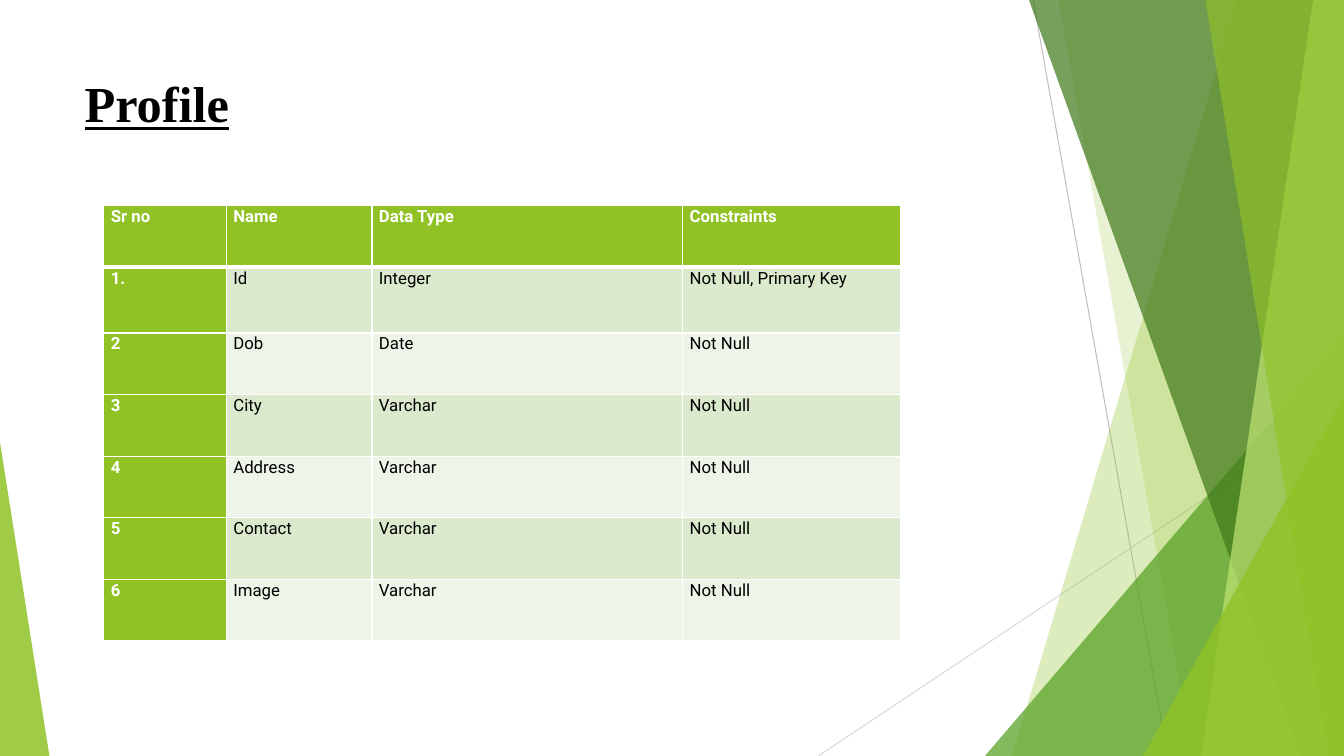
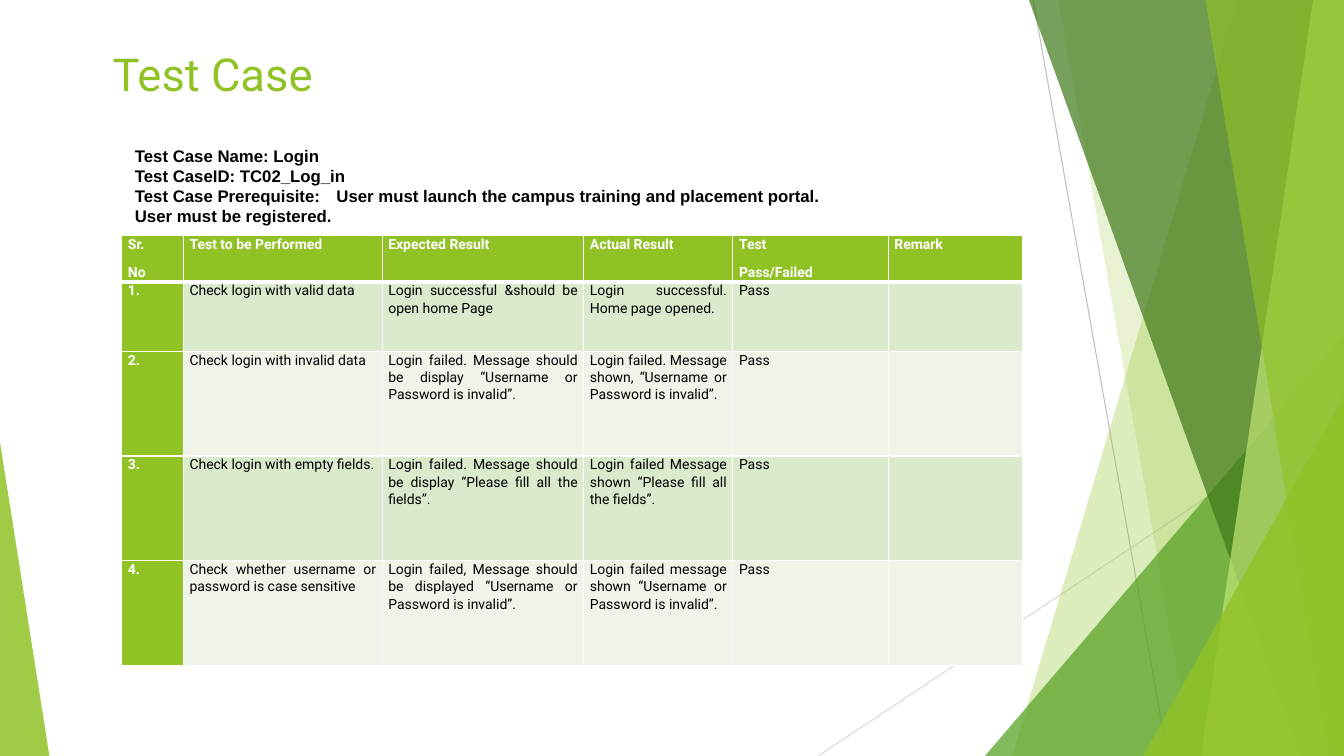
"""Build two slides on a green faceted theme: a data table and a test case."""
from lxml import etree
from pptx import Presentation
from pptx.dml.color import RGBColor
from pptx.enum.shapes import MSO_CONNECTOR, MSO_SHAPE
from pptx.enum.text import MSO_ANCHOR, PP_ALIGN
from pptx.oxml.ns import qn
from pptx.util import Pt

TRIANGLE = MSO_SHAPE.ISOSCELES_TRIANGLE
STRAIGHT = MSO_CONNECTOR.STRAIGHT
TOP, MIDDLE = MSO_ANCHOR.TOP, MSO_ANCHOR.MIDDLE
LEFT, JUSTIFY = PP_ALIGN.LEFT, PP_ALIGN.JUSTIFY

WIDTH, HEIGHT = 960, 540
COLORS = {
    "lime": "90C226", "leaf": "54A021", "forest": "3F7819", "pale": "C0E474",
    "band_dark": "DBE9CD", "band_light": "EEF4E8", "white": "FFFFFF",
    "black": "000000", "rule_dark": "BFBFBF", "rule_light": "D9D9D9",
}


class Deck:
    """Hold the shared style and the slide being filled."""

    body_font = "Roboto"

    def __init__(self):
        """Open an empty widescreen presentation."""
        self.presentation = Presentation()
        self.presentation.slide_width = Pt(WIDTH)
        self.presentation.slide_height = Pt(HEIGHT)
        self.slide = None

    def new_slide(self):
        """Start a slide and draw the facets that every slide carries."""
        self.slide = self.presentation.slides.add_slide(
            self.presentation.slide_layouts[6])
        self.rule((738, 0), (834, HEIGHT), "rule_dark")
        self.rule((WIDTH, 290), (584.5, HEIGHT), "rule_light")
        self.facet(884, 723, "lime", 30)
        self.facet(756, 852, "lime", 20)
        self.corner(703.5, 240, WIDTH, 1, "leaf", 72)
        self.facet(735, 929.5, "forest", 70)
        self.facet(938, 858, "pale", 70)
        self.facet(861, 949, "lime", 65)
        self.corner(816.5, 283, WIDTH, 1, "lime", 80)
        self.corner(0, 316, 35.3, 0, "lime", 85)

    def rule(self, start, end, color):
        """Draw a thin line."""
        line = self.slide.shapes.add_connector(
            STRAIGHT, *(Pt(value) for value in (*start, *end)))
        line.line.color.rgb = RGBColor.from_string(COLORS[color])
        line.line.width = Pt(0.75)
        etree.SubElement(line._element.spPr, qn("a:effectLst"))

    def tint(self, shape, color, opacity):
        """Give a shape a translucent fill without line or shadow."""
        shape.shadow.inherit = False
        shape.line.fill.background()
        shape.fill.solid()
        shape.fill.fore_color.rgb = RGBColor.from_string(COLORS[color])
        rgb = shape._element.spPr.find(".//" + qn("a:srgbClr"))
        etree.SubElement(rgb, qn("a:alpha"), val=str(opacity * 1000))

    def facet(self, top_x, bottom_x, color, opacity):
        """Draw a full-height facet with a slanted left side."""
        outline = self.slide.shapes.build_freeform(Pt(top_x), Pt(0))
        outline.add_line_segments(
            [(Pt(WIDTH), Pt(0)), (Pt(WIDTH), Pt(HEIGHT)), (Pt(bottom_x), Pt(HEIGHT))])
        self.tint(outline.convert_to_shape(), color, opacity)

    def corner(self, left, top, right, apex, color, opacity):
        """Draw a right triangle standing on the bottom edge."""
        triangle = self.slide.shapes.add_shape(
            TRIANGLE, Pt(left), Pt(top), Pt(right - left), Pt(HEIGHT - top))
        triangle.adjustments[0] = apex
        self.tint(triangle, color, opacity)

    def style(self, paragraph, font, size, color, bold=False, underline=False):
        """Set the font of a paragraph."""
        paragraph.font.name = font
        paragraph.font.size = Pt(size)
        paragraph.font.bold = bold
        paragraph.font.underline = underline
        paragraph.font.color.rgb = RGBColor.from_string(COLORS[color])

    def text_frame(self, text, box, anchor):
        """Add a wrapping text box and return its frame."""
        frame = self.slide.shapes.add_textbox(*(Pt(value) for value in box)).text_frame
        frame.word_wrap = True
        frame.vertical_anchor = anchor
        frame.text = text
        return frame

    def title(self, text, box, size, font=body_font, color="lime", **emphasis):
        """Add the slide title."""
        frame = self.text_frame(text, box, TOP)
        self.style(frame.paragraphs[0], font, size, color, **emphasis)

    def details(self, lines, box, first_indent, tab):
        """Add bold justified lines with a first-line indent and one tab stop."""
        frame = self.text_frame("\n".join(lines), box, MIDDLE)
        for paragraph in frame.paragraphs:
            paragraph.alignment = JUSTIFY
            properties = paragraph._p.get_or_add_pPr()
            properties.set("marL", "0")
            properties.set("indent", str(Pt(first_indent)))
            stops = etree.SubElement(properties, qn("a:tabLst"))
            etree.SubElement(stops, qn("a:tab"), pos=str(Pt(tab)), algn="l")
            self.style(paragraph, "Arial", 12, "black", bold=True)

    def borders(self, cell, top, bottom):
        """Draw white cell borders, with the given top and bottom widths."""
        properties = cell._tc.get_or_add_tcPr()
        sides = {"lnL": 1, "lnR": 1, "lnT": top, "lnB": bottom}
        for position, (side, width) in enumerate(sides.items()):
            border = etree.Element(qn("a:" + side), w=str(Pt(width)))
            fill = etree.SubElement(border, qn("a:solidFill"))
            etree.SubElement(fill, qn("a:srgbClr"), val=COLORS["white"])
            properties.insert(position, border)

    def table(self, rows, origin, widths, heights, size, inset, alignment):
        """Add a banded table with a green header row and first column."""
        grid = self.slide.shapes.add_table(
            len(rows), len(widths), *(Pt(value) for value in origin),
            Pt(sum(widths)), Pt(sum(heights))).table
        grid.horz_banding = False
        for column, width in zip(grid.columns, widths):
            column.width = Pt(width)
        for row, height in zip(grid.rows, heights):
            row.height = Pt(height)
        for r, values in enumerate(rows):
            for c, value in enumerate(values):
                cell = grid.cell(r, c)
                heading = r == 0 or c == 0
                band = "band_dark" if r % 2 else "band_light"
                cell.fill.solid()
                cell.fill.fore_color.rgb = RGBColor.from_string(
                    COLORS["lime" if heading else band])
                self.borders(cell, 3 if r == 1 else 1, 3 if r == 0 else 1)
                cell.margin_left = cell.margin_right = Pt(inset)
                cell.margin_top = cell.margin_bottom = Pt(0)
                cell.text_frame.text = value
                for paragraph in cell.text_frame.paragraphs:
                    paragraph.alignment = alignment
                    paragraph.line_spacing = 1.06
                    paragraph.space_after = Pt(8)
                    self.style(paragraph, self.body_font, size,
                               "white" if heading else "black", bold=heading)


def profile_slide(deck):
    """Build the slide listing the profile fields."""
    deck.new_slide()
    deck.title("Profile", (53.3, 48.2, 677, 104), 36, "Times New Roman", "black",
               bold=True, underline=True)
    fields = [
        ("Sr no", "Name", "Data Type", "Constraints"),
        ("1.", "Id", "Integer", "Not Null, Primary Key"),
        ("2", "Dob", "Date", "Not Null"),
        ("3", "City", "Varchar", "Not Null"),
        ("4", "Address", "Varchar", "Not Null"),
        ("5", "Contact", "Varchar", "Not Null"),
        ("6", "Image", "Varchar", "Not Null"),
    ]
    deck.table(fields, (74.2, 146.9), (87.5, 104, 222, 155.5),
               (44, 47) + (44,) * 5, 12, 5, LEFT)


def test_case_slide(deck):
    """Build the slide with the login test case."""
    deck.new_slide()
    deck.title("Test Case", (73.4, 29.5, 656.5, 47.5), 32.4)
    cases = [
        ("Sr.\nNo", "Test to be Performed", "Expected Result", "Actual Result",
         "Test\nPass/Failed", "Remark"),
        ("1.", "Check login with valid data",
         "Login successful &should be open home Page",
         "Login successful. Home page opened.", "Pass", ""),
        ("2.", "Check login with invalid data",
         "Login failed. Message should be display “Username or Password is invalid”.",
         "Login failed. Message shown, “Username or Password is invalid”.", "Pass", ""),
        ("3.", "Check login with empty fields.",
         "Login failed. Message should be display “Please fill all the fields”.",
         "Login failed Message shown “Please fill all the fields”.", "Pass", ""),
        ("4.", "Check whether username or password is case sensitive",
         "Login failed, Message should be displayed “Username or Password is invalid”.",
         "Login failed message shown “Username or Password is invalid”.", "Pass", ""),
    ]
    deck.table(cases, (87, 168), (44, 142, 144, 106.5, 111, 96),
               (31, 49.5) + (74.8,) * 3, 10, 4.4, JUSTIFY)
    deck.details([
        "Test Case Name: Login",
        "Test CaseID: TC02_Log_in",
        "Test Case Prerequisite:\tUser must launch the campus training and placement portal.",
        "User must be registered.",
    ], (53.3, 100, 595.5, 65.5), 36, 216)


def main():
    """Build and save the deck."""
    deck = Deck()
    profile_slide(deck)
    test_case_slide(deck)
    deck.presentation.save("out.pptx")


if __name__ == "__main__":
    main()
